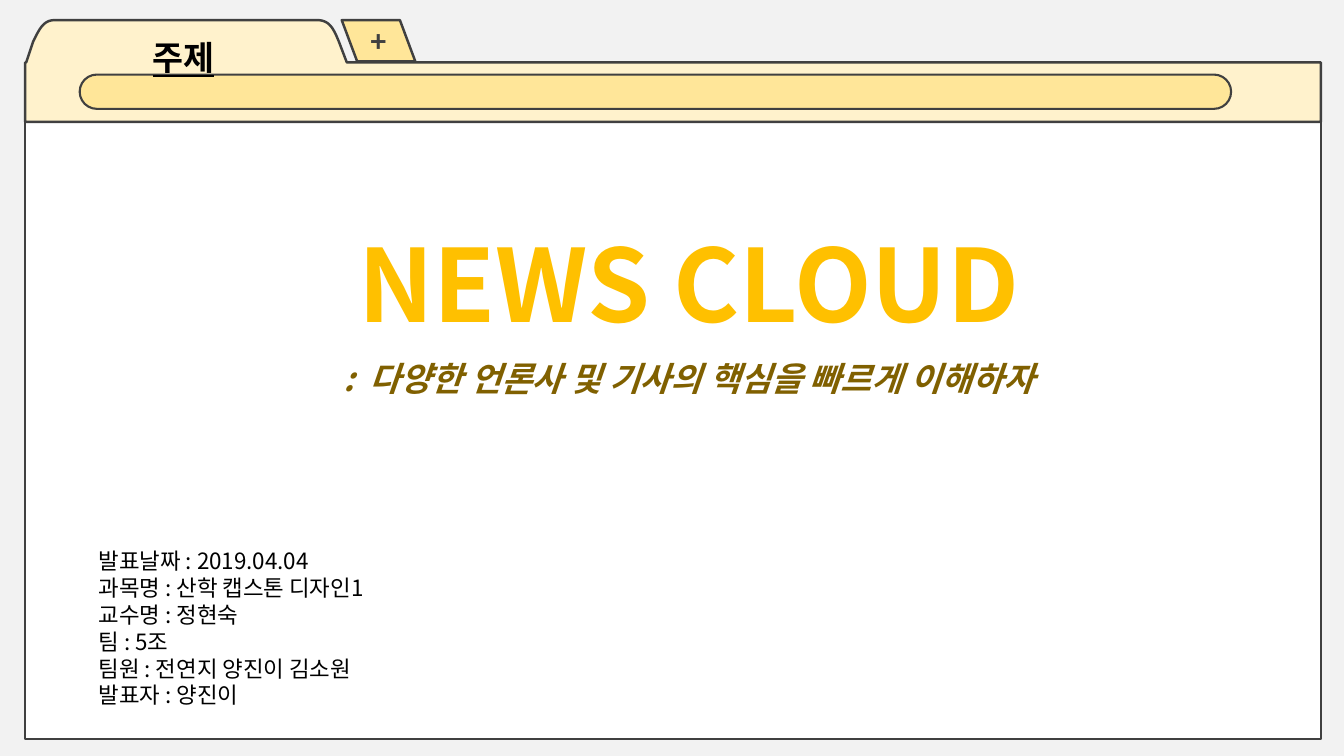
from dataclasses import dataclass

from lxml import etree
from pptx import Presentation
from pptx.dml.color import RGBColor
from pptx.enum.shapes import MSO_SHAPE
from pptx.enum.text import MSO_ANCHOR, PP_ALIGN
from pptx.oxml.ns import qn
from pptx.util import Inches, Pt

RECT = MSO_SHAPE.RECTANGLE
PILL = MSO_SHAPE.ROUNDED_RECTANGLE
SLANT = MSO_SHAPE.PARALLELOGRAM
MIDDLE = MSO_ANCHOR.MIDDLE
LEFT, CENTER = PP_ALIGN.LEFT, PP_ALIGN.CENTER


@dataclass(frozen=True)
class Theme:
    font: str = "Noto Sans CJK KR"
    back: str = "F2F2F2"
    page: str = "FFFFFF"
    cream: str = "FFF2CC"
    sand: str = "FFE699"
    edge: str = "404040"
    ink: str = "000000"
    gold: str = "FFC000"
    brown: str = "806000"
    title: int = 72
    head: int = 24
    plus: int = 20
    body: int = 16


THEME = Theme()

DETAILS = [
    "발표날짜 : 2019.04.04",
    "과목명 : 산학 캡스톤 디자인1",
    "교수명 : 정현숙",
    "팀 : 5조",
    "팀원 : 전연지 양진이 김소원",
    "발표자 : 양진이",
]


def rgb(code):
    return RGBColor.from_string(code)


def paint(shape, fill, width=1.75):
    shape.shadow.inherit = False
    shape.fill.solid()
    shape.fill.fore_color.rgb = rgb(fill)
    shape.line.color.rgb = rgb(THEME.edge)
    shape.line.width = Pt(width)


def style(para, size, color, align=LEFT, bold=False, italic=False, under=False):
    para.alignment = align
    for run in para.runs:
        font = run.font
        font.name, font.size = THEME.font, Pt(size)
        font.color.rgb = rgb(color)
        font.bold, font.italic, font.underline = bold, italic, under
        # Hangul takes its typeface from the East Asian slot
        east = etree.SubElement(font._element, qn("a:ea"))
        east.set("typeface", THEME.font)


def add_box(slide, kind, box, fill, width=1.75):
    shape = slide.shapes.add_shape(kind, *map(Inches, box))
    paint(shape, fill, width)
    return shape


def add_text(slide, box, lines):
    frame = slide.shapes.add_textbox(*map(Inches, box)).text_frame
    frame.word_wrap = True
    frame.text = "\n".join(lines)
    return frame.paragraphs


def curve(p0, p1, p2, p3, steps=16):
    """Points along a cubic curve, without its start."""
    points = []
    for i in range(1, steps + 1):
        t = i / steps
        u = 1 - t
        points.append(tuple(
            u**3 * a + 3 * u * u * t * b + 3 * u * t * t * c + t**3 * d
            for a, b, c, d in zip(p0, p1, p2, p3)))
    return points


def add_folder(slide):
    start = (0.54, 0.2)
    points = [
        (3.15, 0.2),
        *curve((3.15, 0.2), (3.27, 0.2), (3.31, 0.29), (3.36, 0.41)),
        (3.44, 0.62), (13.1, 0.62), (13.1, 1.21), (0.25, 1.21),
        (0.25, 0.62), (0.26, 0.62), (0.33, 0.41),
        *curve((0.33, 0.41), (0.39, 0.29), (0.43, 0.2), start),
    ]
    pen = slide.shapes.build_freeform(*map(Inches, start))
    pen.add_line_segments([(Inches(x), Inches(y)) for x, y in points])
    paint(pen.convert_to_shape(), THEME.cream)


def add_plus(slide):
    tab = add_box(slide, SLANT, (3.39, 0.2, 0.73, 0.41), THEME.sand)
    tab.adjustments[0] = 0.373
    tab._element.spPr.find(qn("a:xfrm")).set("flipH", "1")
    frame = tab.text_frame
    frame.text = "+"
    frame.vertical_anchor = MIDDLE
    style(frame.paragraphs[0], THEME.plus, THEME.edge, CENTER, bold=True)


def main():
    deck = Presentation()
    deck.slide_width, deck.slide_height = Inches(13.33), Inches(7.5)
    slide = deck.slides.add_slide(deck.slide_layouts[6])
    slide.background.fill.solid()
    slide.background.fill.fore_color.rgb = rgb(THEME.back)

    # Browser window: page, folder tab, address bar, new tab
    add_box(slide, RECT, (0.25, 1.21, 12.85, 6.12), THEME.page)
    add_folder(slide)
    bar = add_box(slide, PILL, (0.79, 0.74, 11.42, 0.34), THEME.sand, 1.5)
    bar.adjustments[0] = 0.5
    add_plus(slide)

    # Tab label
    label, = add_text(slide, (0.55, 0.12, 2.54, 0.63), ["주제"])
    label.line_spacing = 1.5
    style(label, THEME.head, THEME.ink, CENTER, bold=True, under=True)

    # Title and motto
    title, motto = add_text(
        slide, (2.64, 2.15, 8.38, 1.87),
        ["NEWS CLOUD", ":  다양한 언론사 및 기사의 핵심을 빠르게 이해하자"])
    style(title, THEME.title, THEME.gold, CENTER, bold=True)
    motto.space_before = Pt(11)
    style(motto, THEME.head, THEME.brown, CENTER, bold=True, italic=True)

    # Talk details
    for para in add_text(slide, (0.88, 5.38, 8.9, 1.7), DETAILS):
        style(para, THEME.body, THEME.ink)

    deck.save("out.pptx")


if __name__ == "__main__":
    main()
